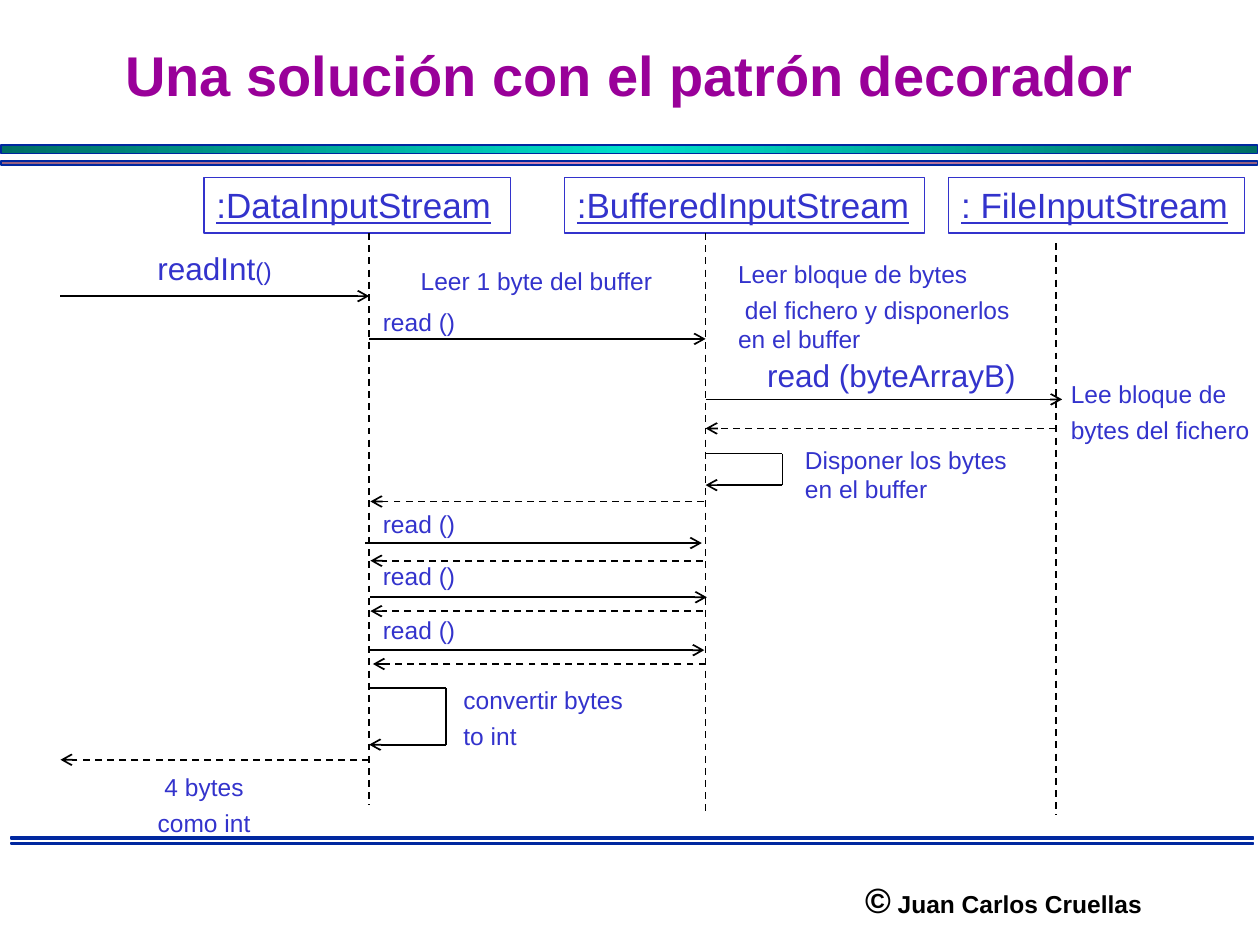
from copy import deepcopy
from pptx import Presentation
from pptx.dml.color import RGBColor
from pptx.enum.dml import MSO_LINE
from pptx.enum.shapes import MSO_CONNECTOR as LINK, MSO_SHAPE as SHAPE
from pptx.enum.text import MSO_ANCHOR as ANCHOR, MSO_AUTO_SIZE as AUTO, PP_ALIGN as ALIGN
from pptx.oxml.ns import qn
from pptx.util import Inches, Pt
from lxml.etree import SubElement

BLUE, BLACK, NAVY = "3333CC", "000000", "00279F"
GREEN, PINK = ("006F65", "00DFCA", "006F65"), ("976080", "D989B8", "976080")
DATA, BUFF, DISK = 2.93, 5.6, 8.38
EDGE = 0.48

BARS = [
    (0.01, 1.15, 9.97, 0.07, GREEN),
    (0.01, 1.28, 9.97, 0.03, PINK),
    (0.09, 6.64, 9.86, 0.02, GREEN),
    (0.09, 6.69, 9.86, 0.01, PINK),
]
HEADS = [
    (":DataInputStream", 1.62, 2.43, True),
    (":BufferedInputStream", 4.48, 2.86, False),
    (": FileInputStream", 7.53, 2.35, True),
]
LIVES = [(DATA, 1.85, 6.39), (BUFF, 1.85, 6.47), (DISK, 1.93, 6.47)]
CALLS = [
    (EDGE, DATA, 2.35),
    (DATA, BUFF, 2.69),
    (BUFF, 8.43, 3.17),
    (2.9, 5.57, 4.31),
    (2.94, 5.61, 4.74),
    (2.92, 5.59, 5.16),
]
REPLIES = [
    (DISK, BUFF, 3.4),
    (5.59, 2.94, 3.98),
    (5.58, 2.94, 4.45),
    (5.58, 2.94, 4.85),
    (BUFF, 2.96, 5.27),
    (DATA, EDGE, 6.03),
]
LOOPS = [(BUFF, 3.6, 3.85), (DATA, 5.46, 5.91)]
LOOP_W = 0.61
READS = [2.39, 3.99, 4.4, 4.83]
NOTES = [
    ([[("readInt", 18), ("()", 14)]], (1.15, 1.93, 1.12, 0.4), {}),
    (["Leer 1 byte del buffer"], (3.24, 2.06, 2.05, 0.34), {}),
    (["Leer bloque de bytes", " del fichero y disponerlos en el buffer"],
     (5.76, 2.01, 2.44, 0.85), {"wrap": True}),
    (["read (byteArrayB)"], (5.99, 2.78, 2.19, 0.4), {"size": 18}),
    (["Lee bloque de", "bytes del fichero"], (8.4, 2.96, 1.63, 0.62), {}),
    (["Disponer los bytes en el buffer"], (6.29, 3.48, 1.89, 0.57), {"wrap": True}),
    (["convertir bytes", "to int"], (3.58, 5.39, 1.47, 0.62), {}),
    (["4 bytes", "como int"], (1.15, 6.08, 0.94, 0.62), {"align": ALIGN.CENTER}),
    ([[("©", 20), (" Juan Carlos Cruellas", 14)]], (6.56, 6.92, 2.81, 0.43),
     {"color": BLACK, "bold": True, "align": ALIGN.CENTER, "wrap": True}),
]


def rgb(code):
    """Turn a hex string into a colour."""
    return RGBColor.from_string(code)


def write(shape, paras, size=14, color=BLUE, bold=False, under=False,
          align=ALIGN.LEFT, wrap=False, anchor=ANCHOR.TOP):
    """Fill a shape with paragraphs, each a string or a list of (text, size) runs."""
    frame = shape.text_frame
    frame.word_wrap, frame.auto_size = wrap, AUTO.NONE
    frame.vertical_anchor = anchor
    for i, runs in enumerate(paras):
        para = frame.add_paragraph() if i else frame.paragraphs[0]
        para.alignment = align
        para.space_before = Pt(3.4 if i else 0)
        for text, points in [(runs, size)] if isinstance(runs, str) else runs:
            run = para.add_run()
            run.text = text
            font = run.font
            font.name, font.size, font.bold = "Arial", Pt(points), bold
            font.underline, font.color.rgb = under, rgb(color)


def note(slide, paras, area, **form):
    """Add a text box."""
    write(slide.shapes.add_textbox(*map(Inches, area)), paras, **form)


def rect(slide, area, color, width):
    """Add an unfilled rectangle with an outline."""
    shape = slide.shapes.add_shape(SHAPE.RECTANGLE, *map(Inches, area))
    shape.shadow.inherit = False
    shape.fill.background()
    shape.line.color.rgb, shape.line.width = rgb(color), Pt(width)
    return shape


def bar(slide, area, colors):
    """Add a bar with a horizontal three-stop gradient."""
    fill = rect(slide, area, NAVY, 1).fill
    fill.gradient()
    fill.gradient_angle = 0
    last = fill.gradient_stops[1]._gs
    last.addprevious(deepcopy(last))
    for stop, color, place in zip(fill.gradient_stops, colors, (0, 0.5, 1)):
        stop.color.rgb, stop.position = rgb(color), place


def line(slide, x1, y1, x2, y2, dash=False, arrow=False):
    """Add a straight line, dashed or with an arrowhead at its end."""
    link = slide.shapes.add_connector(LINK.STRAIGHT, *map(Inches, (x1, y1, x2, y2)))
    link.line.color.rgb, link.line.width = rgb(BLACK), Pt(1)
    if dash:
        link.line.dash_style = MSO_LINE.DASH
    if arrow:
        SubElement(link.line._get_or_add_ln(), qn("a:tailEnd"), type="arrow")
    SubElement(link._element.spPr, qn("a:effectLst"))


def main():
    """Build the sequence diagram slide."""
    deck = Presentation()
    deck.slide_width, deck.slide_height = Inches(10), Inches(7.5)
    slide = deck.slides.add_slide(deck.slide_layouts[5])
    title = slide.shapes.title
    title.left, title.top, title.width, title.height = map(Inches, (0, 0.25, 10, 0.67))
    title.fill.solid()
    title.fill.fore_color.rgb = rgb("FFFFFF")
    write(title, ["Una solución con el patrón decorador"], size=32, color="990099",
          bold=True, align=ALIGN.CENTER, wrap=True, anchor=ANCHOR.MIDDLE)
    for *area, colors in BARS:
        bar(slide, area, colors)
    for name, left, width, wrap in HEADS:
        head = rect(slide, (left, 1.41, width, 0.44), BLUE, 0.75)
        write(head, [name], size=20, under=True, wrap=wrap)
    for x, top, end in LIVES:
        line(slide, x, top, x, end, dash=True)
    for start, end, y in CALLS:
        line(slide, start, y, end, y, arrow=True)
    for start, end, y in REPLIES:
        line(slide, start, y, end, y, dash=True, arrow=True)
    for x, top, end in LOOPS:
        side = x + LOOP_W
        line(slide, x, top, side, top)
        line(slide, side, top, side, end)
        line(slide, side, end, x, end, arrow=True)
    for paras, area, form in NOTES:
        note(slide, paras, area, **form)
    for top in READS:
        note(slide, ["read ()"], (2.94, top, 0.78, 0.34))
    deck.save("out.pptx")


if __name__ == "__main__":
    main()
